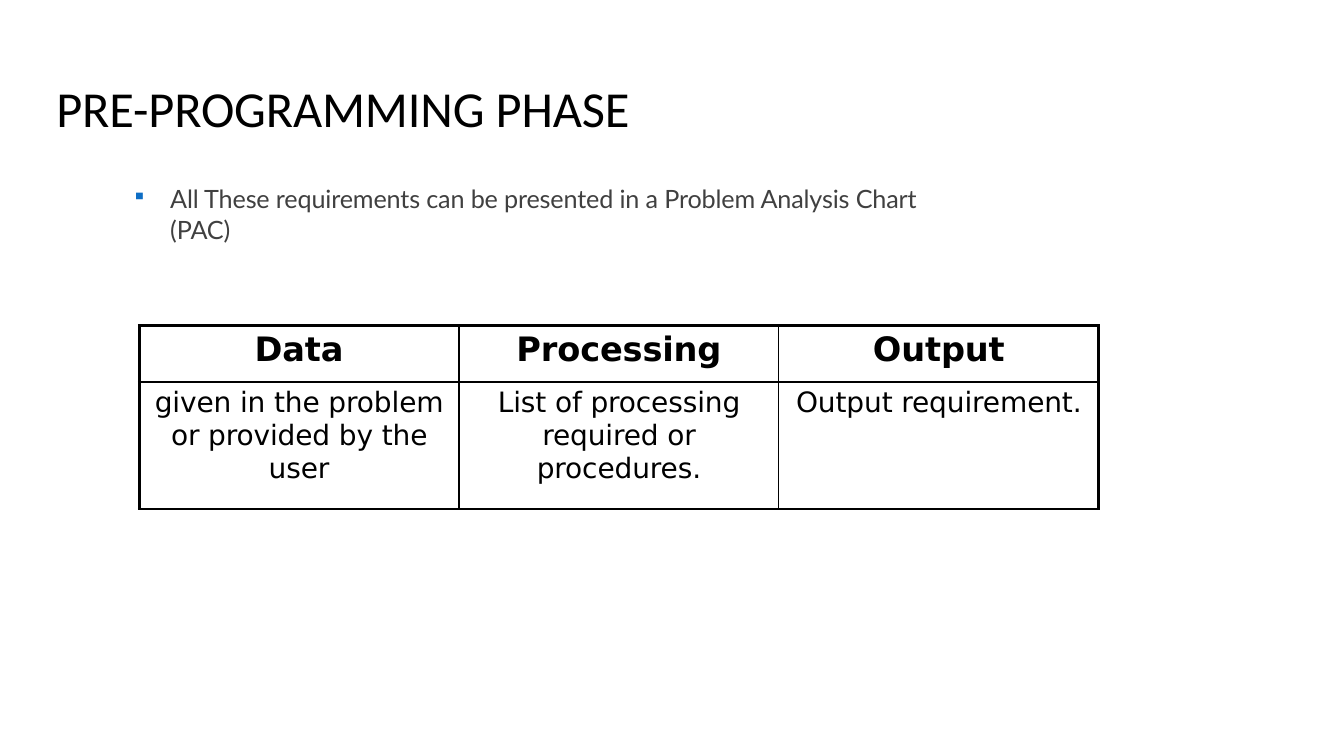
from lxml.etree import SubElement
from pptx import Presentation
from pptx.dml.color import RGBColor
from pptx.enum.text import MSO_ANCHOR, PP_ALIGN
from pptx.oxml.ns import qn
from pptx.util import Pt

COLORS = {"ink": "000000", "body": "404040", "bullet": "0E6EC5"}
PAC_ROWS = [
    ["Data", "Processing", "Output"],
    ["given in the problem or provided by the user",
     "List of processing required or procedures.",
     "Output requirement."],
]
ROW_HEIGHTS = [40.3, 90.7]
OUTER_BORDER, INNER_BORDER = 2.25, 1


def style_runs(paragraph, font_name, size, color, bold=False):
    """Format every run, with slightly tightened letter spacing."""
    for run in paragraph.runs:
        font = run.font
        font.name, font.size, font.bold = font_name, Pt(size), bold
        font.color.rgb = RGBColor.from_string(COLORS[color])
        font._element.set("spc", "-10")


def add_text(slide, text, left, top, width, height, anchor):
    frame = slide.shapes.add_textbox(
        Pt(left), Pt(top), Pt(width), Pt(height)).text_frame
    frame.word_wrap = True
    frame.vertical_anchor = anchor
    frame.margin_left = frame.margin_right = frame.margin_bottom = 0
    frame.margin_top = Pt(1)
    frame.text = text
    return frame.paragraphs[0]


def add_title(slide, left, top, width, height):
    title = add_text(slide, "PRE-PROGRAMMING PHASE",
                     left, top, width, height, MSO_ANCHOR.MIDDLE)
    style_runs(title, "Calibri", 36, "ink")


def add_requirement(slide, left, top, width, height):
    requirement = add_text(
        slide,
        "All These requirements can be presented in a Problem Analysis Chart (PAC)",
        left, top, width, height, MSO_ANCHOR.TOP)
    properties = requirement._p.get_or_add_pPr()
    properties.set("marL", str(Pt(28)))
    properties.set("indent", str(Pt(-27.4)))
    bullet_color = SubElement(properties, qn("a:buClr"))
    SubElement(bullet_color, qn("a:srgbClr"), val=COLORS["bullet"])
    SubElement(properties, qn("a:buSzPct"), val="81000")
    SubElement(properties, qn("a:buChar"), char="▪")
    style_runs(requirement, "Lato", 18, "body")


def set_borders(cell, widths):
    """Draw cell borders; widths maps each side tag to points."""
    properties = cell._tc.get_or_add_tcPr()
    for position, (side, width) in enumerate(widths.items()):
        line = properties.makeelement(qn(f"a:{side}"), {"w": str(Pt(width))})
        fill = SubElement(line, qn("a:solidFill"))
        SubElement(fill, qn("a:srgbClr"), val=COLORS["ink"])
        properties.insert(position, line)


def add_analysis_chart(slide, left, top, width):
    row_count, column_count = len(PAC_ROWS), len(PAC_ROWS[0])
    table = slide.shapes.add_table(
        row_count, column_count, Pt(left), Pt(top), Pt(width),
        Pt(sum(ROW_HEIGHTS))).table
    table.horz_banding = False
    for column in table.columns:
        column.width = Pt(width / column_count)
    for r, labels in enumerate(PAC_ROWS):
        table.rows[r].height = Pt(ROW_HEIGHTS[r])
        for c, label in enumerate(labels):
            cell = table.cell(r, c)
            cell.fill.background()
            cell.margin_left = cell.margin_right = cell.margin_bottom = 0
            cell.margin_top = Pt(3.5)
            cell.text_frame.text = label
            paragraph = cell.text_frame.paragraphs[0]
            paragraph.alignment = PP_ALIGN.CENTER
            style_runs(paragraph, "DejaVu Sans", 24 if r == 0 else 20,
                       "ink", bold=r == 0)
            on_edge = {"lnL": c == 0, "lnR": c == column_count - 1,
                       "lnT": r == 0, "lnB": r == row_count - 1}
            set_borders(cell, {side: OUTER_BORDER if edge else INNER_BORDER
                               for side, edge in on_edge.items()})


def main():
    presentation = Presentation()
    presentation.slide_width, presentation.slide_height = Pt(960), Pt(540)
    slide = presentation.slides.add_slide(presentation.slide_layouts[6])
    add_title(slide, 40.3, 53.3, 446.4, 45.4)
    add_requirement(slide, 93.6, 130.3, 584.6, 45.4)
    add_analysis_chart(slide, 99.4, 232.6, 685.5)
    presentation.save("out.pptx")


if __name__ == "__main__":
    main()
